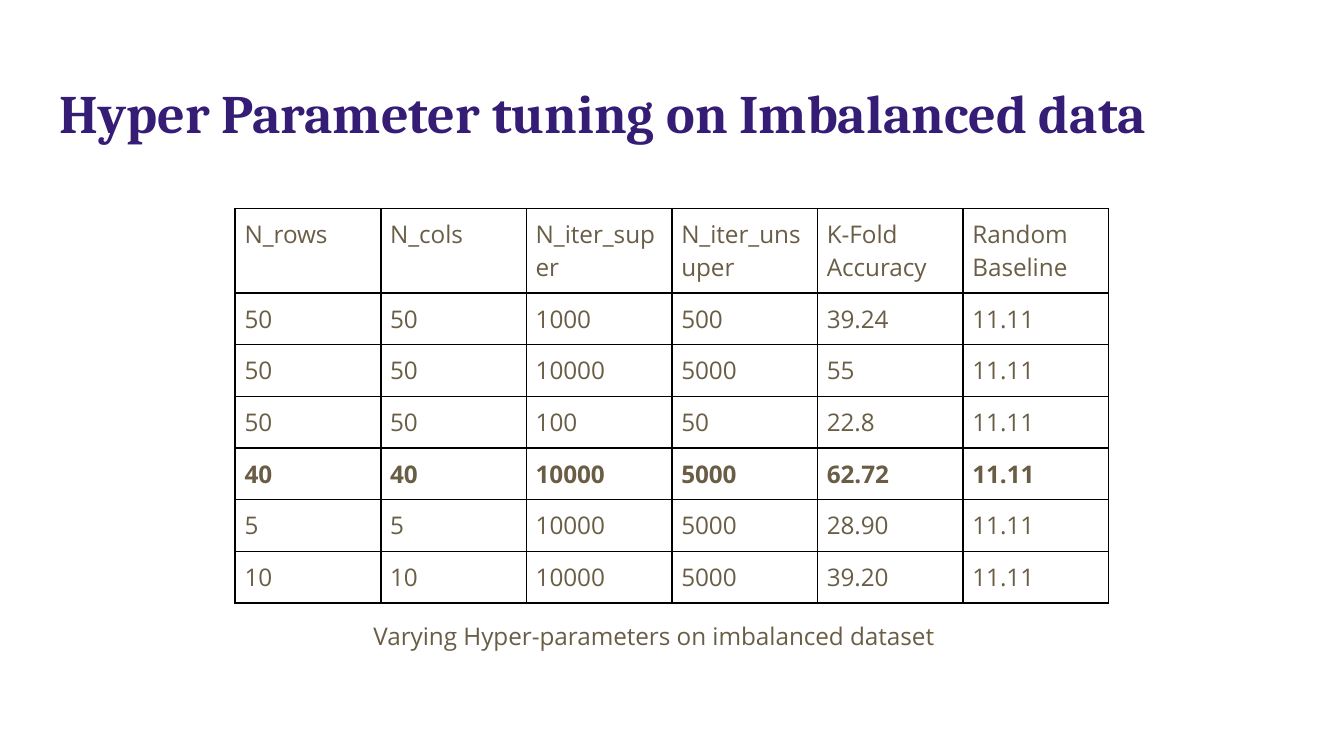
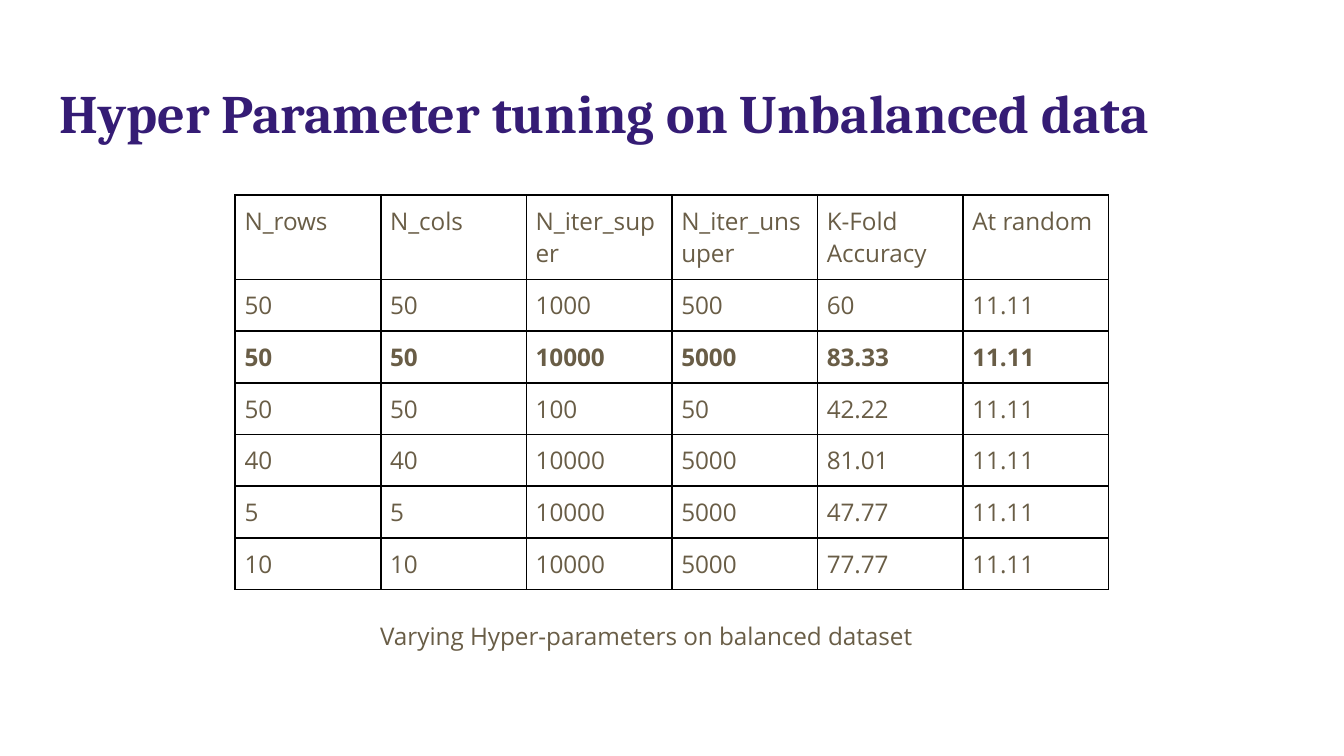
from lxml import etree
from pptx import Presentation
from pptx.dml.color import RGBColor
from pptx.enum import text
from pptx.oxml import ns
from pptx.util import Inches, Pt

PURPLE = RGBColor(0x35, 0x1C, 0x75)
BROWN = RGBColor(0x69, 0x5D, 0x46)
BLACK = RGBColor(0x00, 0x00, 0x00)

TITLE_FONT = {"name": "Cambria", "size": Pt(29), "bold": True}
BODY_FONT = {"name": "Open Sans", "size": Pt(13), "bold": False}
BEST_FONT = {**BODY_FONT, "bold": True}

TITLE_BOX = (0.34, 0.49, 9.32, 0.63)
TABLE_LEFT, TABLE_SIZE = 1.75, 3.28
COLUMNS_WIDTH = 6.5
MIN_ROW_HEIGHT = 0.01  # rows grow to fit their text
PARAMETERS = ["N_rows", "N_cols", "N_iter_super", "N_iter_unsuper", "K-Fold Accuracy"]
BASELINE = "11.11"

# Each run: rows, cols, supervised and unsupervised iterations
RUNS = [
    ("50", "50", "1000", "500"),
    ("50", "50", "10000", "5000"),
    ("50", "50", "100", "50"),
    ("40", "40", "10000", "5000"),
    ("5", "5", "10000", "5000"),
    ("10", "10", "10000", "5000"),
]

SLIDES = [
    {
        "title": "Hyper Parameter tuning on Imbalanced data",
        "table_top": 1.55,
        "baseline_name": "Random Baseline",
        "accuracies": ["39.24", "55", "22.8", "62.72", "28.90", "39.20"],
        "best_run": 4,
        "caption": "Varying Hyper-parameters on imbalanced dataset",
        "caption_box": (2.68, 4.48, 4.65, 0.95),
    },
    {
        "title": "Hyper Parameter tuning on Unbalanced data",
        "table_top": 1.45,
        "baseline_name": "At random",
        "accuracies": ["60", "83.33", "42.22", "81.01", "47.77", "77.77"],
        "best_run": 2,
        "caption": "Varying Hyper-parameters on balanced dataset",
        "caption_box": (2.73, 4.48, 4.54, 0.72),
    },
]


def set_margins(holder, inset):
    """Set equal margins on a text frame or a table cell."""
    for side in ("left", "top", "right", "bottom"):
        setattr(holder, f"margin_{side}", Inches(inset))


def write(tf, words, font, color):
    """Fill a text frame with one formatted paragraph and return it."""
    p = tf.paragraphs[0]
    p.alignment = text.PP_ALIGN.LEFT
    r = p.add_run()
    r.text = words
    for name, value in font.items():
        setattr(r.font, name, value)
    r.font.color.rgb = color
    return p


def add_title(s, words, box):
    sp = s.shapes.title
    sp.left, sp.top, sp.width, sp.height = map(Inches, box)
    tf = sp.text_frame
    tf.word_wrap = True
    tf.auto_size = text.MSO_AUTO_SIZE.NONE
    tf.vertical_anchor = text.MSO_ANCHOR.TOP
    set_margins(tf, 0.1)
    write(tf, words, TITLE_FONT, PURPLE)


def add_borders(cell):
    tc_pr = cell._tc.get_or_add_tcPr()
    for side in ("lnL", "lnR", "lnT", "lnB"):
        ln = etree.SubElement(tc_pr, ns.qn(f"a:{side}"), w=str(Pt(1)))
        fill = etree.SubElement(ln, ns.qn("a:solidFill"))
        etree.SubElement(fill, ns.qn("a:srgbClr"), val=str(BLACK))


def add_results(s, rows, best_run, box):
    left, top, width, height = map(Inches, box)
    frame = s.shapes.add_table(len(rows), len(rows[0]), left, top, width, height)
    table = frame.table
    table.first_row = table.horz_banding = False
    for column in table.columns:
        column.width = Inches(COLUMNS_WIDTH / len(rows[0]))
    for i, values in enumerate(rows):
        table.rows[i].height = Inches(MIN_ROW_HEIGHT)
        font = BEST_FONT if i == best_run else BODY_FONT
        for j, value in enumerate(values):
            cell = table.cell(i, j)
            set_margins(cell, 0.07)
            write(cell.text_frame, value, font, BROWN)
            add_borders(cell)
            cell.fill.background()
    # Resizing rows and columns changes the frame, so its size is set last
    frame.width, frame.height = width, height


def add_caption(s, words, box):
    tf = s.shapes.add_textbox(*map(Inches, box)).text_frame
    tf.word_wrap = True
    set_margins(tf, 0.1)
    p = write(tf, words, BODY_FONT, BROWN)
    p.line_spacing = 1.2
    p.space_before = Pt(6)


def add_tuning_slide(prs, content):
    s = prs.slides.add_slide(prs.slide_layouts[5])
    add_title(s, content["title"], TITLE_BOX)

    # Header row, then one row per run
    rows = [[*PARAMETERS, content["baseline_name"]]]
    rows += [[*run, accuracy, BASELINE] for run, accuracy in zip(RUNS, content["accuracies"])]
    box = (TABLE_LEFT, content["table_top"], TABLE_SIZE, TABLE_SIZE)
    add_results(s, rows, content["best_run"], box)

    add_caption(s, content["caption"], content["caption_box"])


def main():
    prs = Presentation()
    prs.slide_width = Inches(10)
    prs.slide_height = prs.slide_width * 9 // 16
    for content in SLIDES:
        add_tuning_slide(prs, content)
    prs.save("out.pptx")


if __name__ == "__main__":
    main()
